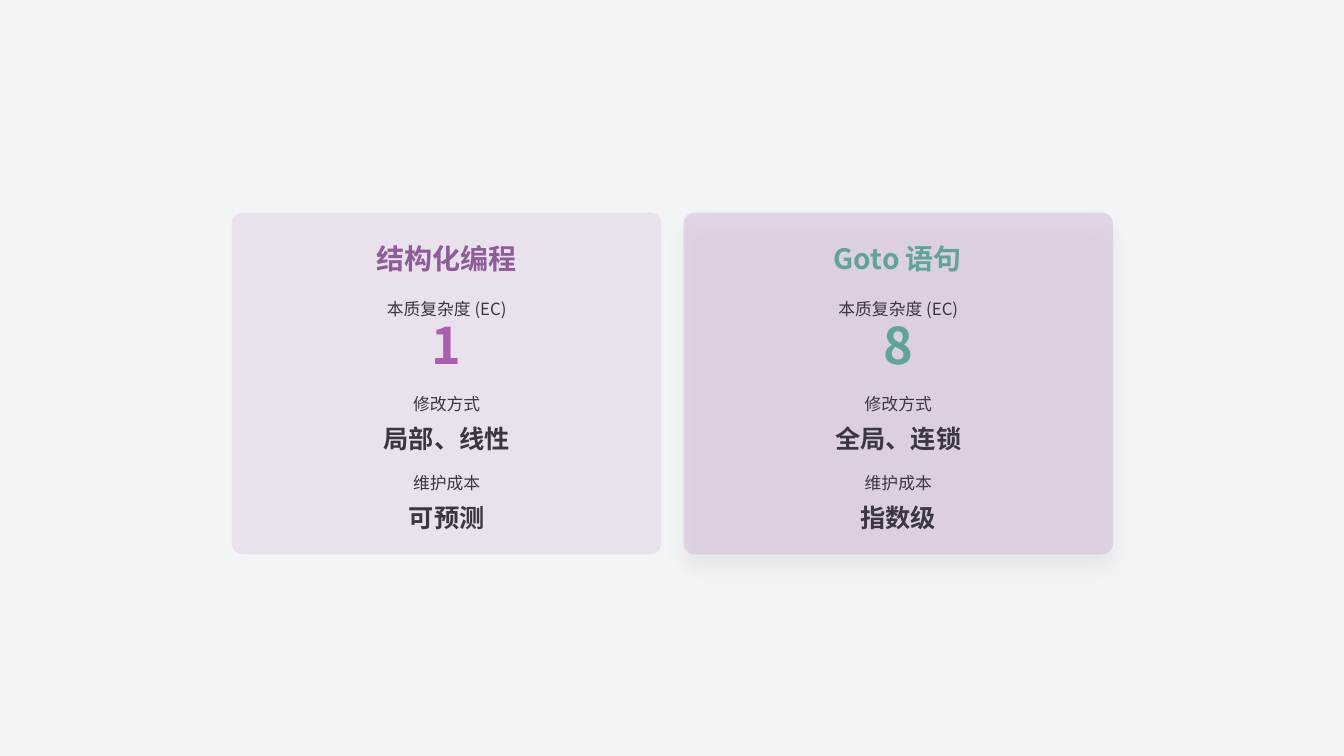
from lxml import etree
from pptx import Presentation
from pptx.dml.color import RGBColor
from pptx.enum import shapes, text
from pptx.oxml import parse_xml
from pptx.oxml.ns import nsdecls, qn
from pptx.util import Inches, Pt

FONT = "Noto Sans CJK SC"
BACK = RGBColor(0xF3, 0xF4, 0xF6)
LILAC = RGBColor(0xD3, 0xB9, 0xD7)
PLUM = RGBColor(0x8F, 0x5C, 0x9A)
VIOLET = RGBColor(0xA9, 0x5E, 0xAF)
TEAL = RGBColor(0x60, 0xA3, 0x9A)
INK = RGBColor(0x3C, 0x35, 0x42)

LEFT, TOP, WIDE, HIGH, STEP = 2.3, 2.11, 4.26, 3.39, 4.48

# Line styles: box width, box height, line spacing and font values
LABEL = (3.9, 0.22, 1.1, {"size": Pt(12), "bold": False})
SCORE = (4.07, 0.56, 0.9, {"size": Pt(36), "bold": True})
VALUE = (3.94, 0.39, 1.3, {"size": Pt(18), "bold": True})
HEAD = {"size": Pt(20), "bold": True}

# Rows of a card: distance from its top, and style
ROWS = [(0.83, LABEL), (1.06, SCORE), (1.78, LABEL),
        (2.0, VALUE), (2.56, LABEL), (2.78, VALUE)]

CARDS = [
    {"head": "结构化编程", "inset": 1.43, "width": 1.53, "tone": PLUM,
     "mark": VIOLET, "alpha": 30, "raised": False,
     "values": ("1", "局部、线性", "可预测")},
    {"head": "Goto 语句", "inset": 1.49, "width": 1.42, "tone": TEAL,
     "mark": TEAL, "alpha": 50, "raised": True,
     "values": ("8", "全局、连锁", "指数级")},
]
LABELS = ("本质复杂度 (EC)", "修改方式", "维护成本")


def write(box, words, look, color, lines, align):
    """Fill a text box or placeholder with one formatted line."""
    frame = box.text_frame
    frame.text = words
    margins = dict.fromkeys(
        ("margin_left", "margin_top", "margin_right", "margin_bottom"), 0)
    for name, value in {
            **margins, "word_wrap": True, "auto_size": text.MSO_AUTO_SIZE.NONE,
            "vertical_anchor": text.MSO_ANCHOR.MIDDLE}.items():
        setattr(frame, name, value)
    para = frame.paragraphs[0]
    for name, value in {"alignment": align, "line_spacing": lines,
                        "space_before": Pt(0)}.items():
        setattr(para, name, value)
    font = para.runs[0].font
    for name, value in {**look, "name": FONT}.items():
        setattr(font, name, value)
    font.color.rgb = color
    props = next(box.element.iter(qn("a:rPr")))
    etree.SubElement(props, qn("a:ea")).set("typeface", FONT)


def panel(slide, left, top, alpha, raised):
    """Draw the translucent card, with a soft shadow when raised."""
    card = slide.shapes.add_shape(
        shapes.MSO_SHAPE.ROUNDED_RECTANGLE,
        Inches(left), Inches(top), Inches(WIDE), Inches(HIGH))
    card.adjustments[0] = 0.11 / HIGH
    card.fill.solid()
    card.fill.fore_color.rgb = LILAC
    card.line.fill.background()
    card.shadow.inherit = False
    props = card.element.spPr
    tint = props.find(qn("a:solidFill")).find(qn("a:srgbClr"))
    etree.SubElement(tint, qn("a:alpha")).set("val", str(alpha * 1000))
    if raised:
        props.find(qn("a:effectLst")).append(parse_xml(
            f'<a:outerShdw {nsdecls("a")} blurRad="{Pt(15)}" dist="{Pt(10)}" '
            'dir="5400000" algn="ctr" rotWithShape="0"><a:srgbClr val="000000">'
            '<a:alpha val="10000"/></a:srgbClr></a:outerShdw>'))


def compare(slide, holder, left, top, data):
    """Build one comparison card at the given corner."""
    panel(slide, left, top, data["alpha"], data["raised"])

    # Heading, brought in front of the card
    holder.element.getparent().append(holder.element)
    spot = {"left": left + data["inset"], "top": top + 0.22,
            "width": data["width"], "height": 0.39}
    for name, value in spot.items():
        setattr(holder, name, Inches(value))
    write(holder, data["head"], HEAD, data["tone"], 1.2, text.PP_ALIGN.LEFT)

    # Labels and values, centred in the card
    words = [w for pair in zip(LABELS, data["values"]) for w in pair]
    for (down, style), line in zip(ROWS, words):
        wide, high, lines, look = style
        box = slide.shapes.add_textbox(
            Inches(left + (WIDE - wide) / 2), Inches(top + down),
            Inches(wide), Inches(high))
        color = data["mark"] if style is SCORE else INK
        write(box, line, look, color, lines, text.PP_ALIGN.CENTER)


def main():
    deck = Presentation()
    deck.slide_width, deck.slide_height = Inches(13.33), Inches(7.5)
    slide = deck.slides.add_slide(deck.slide_layouts.get_by_name("Comparison"))
    slide.background.fill.solid()
    slide.background.fill.fore_color.rgb = BACK

    # Keep only the two heading placeholders
    heads = []
    for holder in list(slide.placeholders):
        if holder.placeholder_format.type == shapes.PP_PLACEHOLDER.BODY:
            heads.append(holder)
        else:
            holder.element.getparent().remove(holder.element)

    for i, (holder, data) in enumerate(zip(heads, CARDS)):
        compare(slide, holder, LEFT + i * STEP, TOP, data)
    deck.save("out.pptx")


if __name__ == "__main__":
    main()
